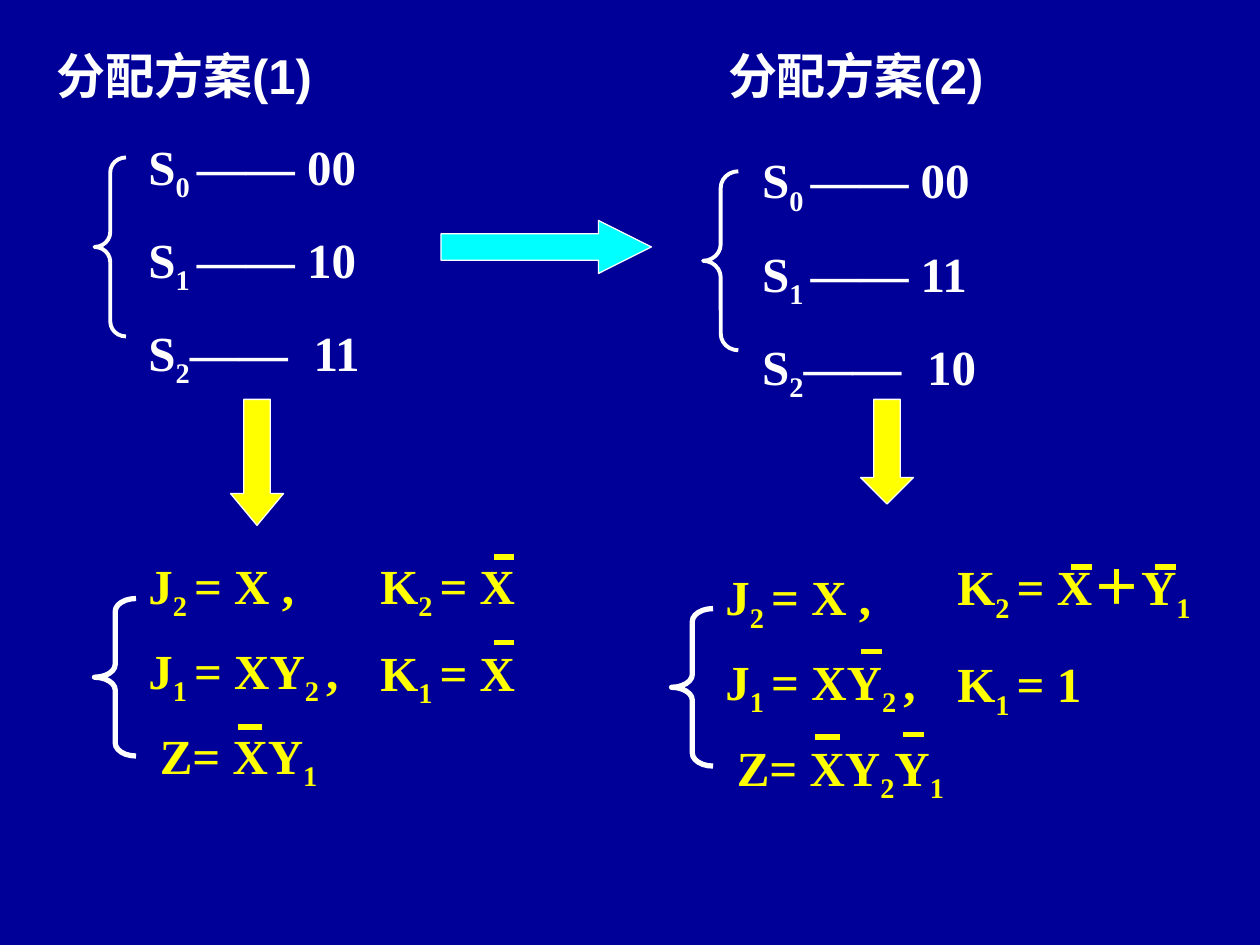
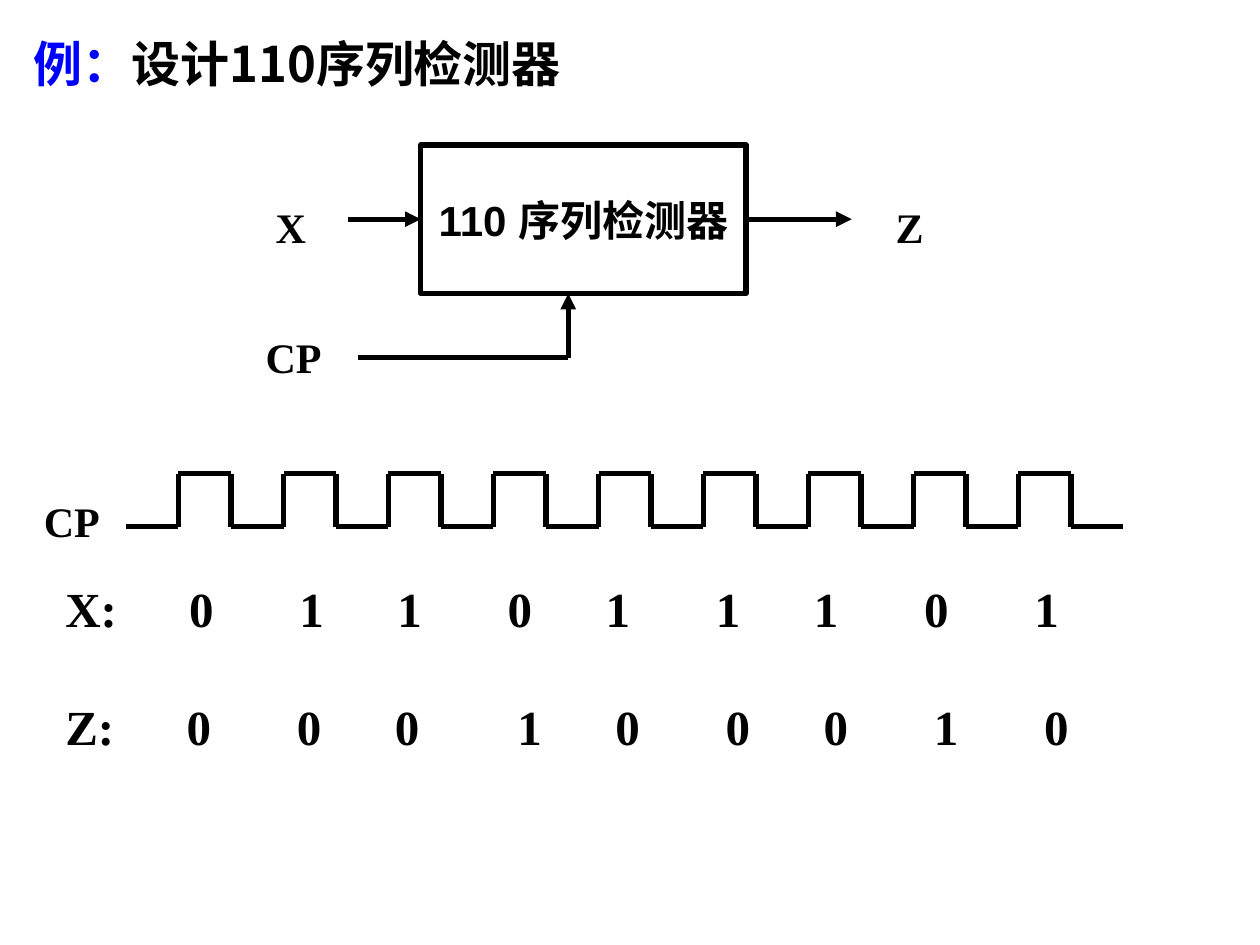
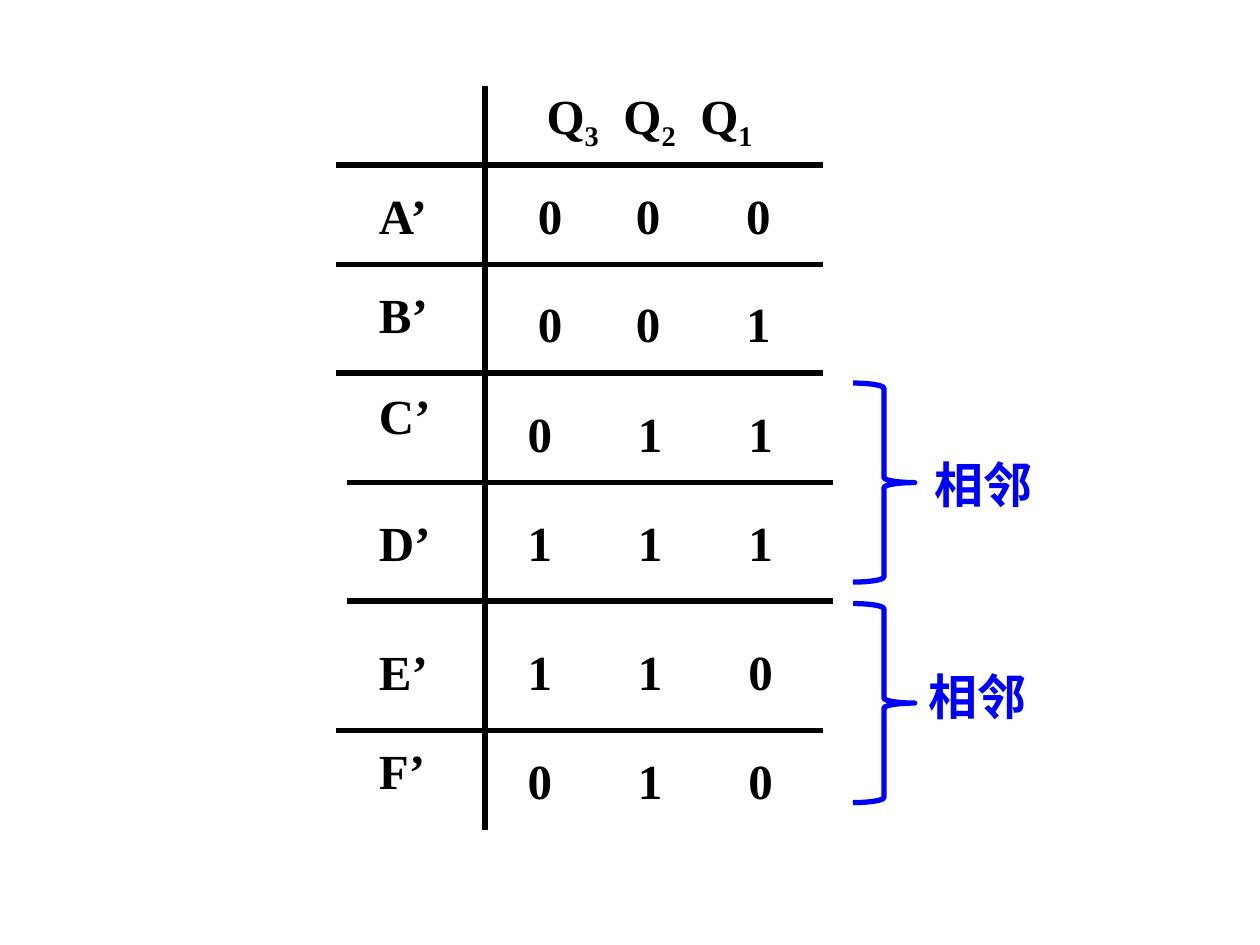
from dataclasses import dataclass
from itertools import accumulate
from lxml.etree import SubElement
from pptx import Presentation
from pptx.dml.color import RGBColor
from pptx.enum.shapes import MSO_CONNECTOR, MSO_SHAPE
from pptx.enum.text import MSO_ANCHOR, PP_ALIGN
from pptx.oxml.ns import qn
from pptx.util import Inches, Pt


@dataclass(frozen=True)
class Theme:
    navy: str = "000099"
    white: str = "FFFFFF"
    black: str = "000000"
    blue: str = "0000FF"
    cyan: str = "00FFFF"
    gold: str = "FFFF00"
    serif: str = "Times New Roman"
    sans: str = "Arial"
    han: str = "Noto Sans CJK SC"
    big: int = 28
    small: int = 24
    thin: float = 0.75
    mid: float = 2.25
    thick: float = 3
    gap: int = 15
    space: float = 7 / 72


T = Theme()

HEADS = [(0.35, "分配方案(1)"), (5.68, "分配方案(2)")]
CODES = [
    (1.08, 1, ["S|0 |—— 00", "S|1 |—— 10", "S|2|——\t11"]),
    (5.95, 1.11, ["S|0 |—— 00", "S|1 |—— 11", "S|2|——\t10"]),
]
CODE_TAB = 1.31
BRACES = [
    (0.75, 1.25, 0.25, 1.42, 0.472, T.mid),
    (5.58, 1.36, 0.28, 1.42, 0.472, T.mid),
    (0.75, 4.75, 0.33, 1.25, 0.312, T.thick),
    (5.33, 4.83, 0.33, 1.25, 0.312, T.thick),
]
ARROWS = [
    (MSO_SHAPE.RIGHT_ARROW, 3.5, 1.75, 1.67, 0.42, 1, T.cyan),
    (MSO_SHAPE.DOWN_ARROW, 1.83, 3.17, 0.42, 1, 0.6, T.gold),
    (MSO_SHAPE.DOWN_ARROW, 6.83, 3.17, 0.42, 0.83, 0.5, T.gold),
]
SPOTS = [(0, 0), (1.84, 0), (0, 0.67), (1.84, 0.69), (0.09, 1.35)]
SUMS = [
    (1.08, 4.33, ["J|2 |= X ,", "K|2 |= X", "J|1 |= XY|2 |,", "K|1 |= X", "Z= XY|1"]),
    (5.66, 4.42, ["J|2 |= X ,", "K|2 |= X＋Y|1", "J|1 |= XY|2 |,", "K|1 |= 1", "Z= XY|2|Y|1"]),
]
BARS = [
    (3.92, 4.08, 4.42), (3.92, 4.08, 5.1), (1.89, 2.08, 5.77),
    (8.5, 8.67, 4.5), (9.17, 9.33, 4.5), (6.83, 7, 5.17),
    (6.47, 6.67, 5.85), (7.17, 7.33, 5.83),
]

PORTS = [(2.09, 1.52, "X"), (2.01, 2.55, "CP"), (7.01, 1.52, "Z"), (0.25, 3.85, "CP")]
WAVES = [
    (4.51, "X:", "011011101", 1.08, [7, 6, 7, 6, 7, 6, 7, 7]),
    (5.45, "Z:", "000100010", 1.06, [7, 6, 8, 6, 7, 6, 7, 7]),
]
PULSES = 9
HALF = 5 / 12
HIGH, LOW = 3.76, 4.18

RULES = [(2.67, 1.31), (2.67, 2.1), (2.67, 2.96), (2.75, 3.83), (2.75, 4.77), (2.67, 5.8)]
STATES = [
    ("A’", 1.39, "000", 4.17, 1.39, [6, 7]),
    ("B’", 2.18, "001", 4.17, 2.25, [6, 7]),
    ("C’", 2.98, "011", 4.09, 3.12, [7, 7]),
    ("D’", 3.99, "111", 4.09, 3.99, [7, 7]),
    ("E’", 5.01, "110", 4.09, 5.01, [7, 7]),
    ("F’", 5.8, "010", 4.09, 5.88, [7, 7]),
]
PAIRS = [(3.04, 7.32, 3.49), (4.79, 7.27, 5.17)]


def rgb(tint):
    return RGBColor.from_string(tint)


def wide(text):
    return any(char >= "\u3000" for char in text)


def stops(first, gaps):
    return list(accumulate([(gap + 2) * T.space for gap in gaps], initial=first))


def add_run(para, text, tint, face, size, sub=False):
    run = para.add_run()
    run.text = text
    font = run.font
    font.name, font.size, font.bold = face, Pt(size), True
    font.color.rgb = rgb(tint)
    props = font._element
    if wide(text):
        SubElement(props, qn("a:ea")).set("typeface", T.han)
    if sub:
        props.set("baseline", "-25000")


def add_tabs(para, places, align):
    tabs = SubElement(para._p.get_or_add_pPr(), qn("a:tabLst"))
    for place in places:
        tab = SubElement(tabs, qn("a:tab"))
        tab.set("pos", str(Inches(place)))
        tab.set("algn", align)


def add_text(slide, x, y, w, lines, tint, face=T.serif, size=T.big, tabs=(), align="l", top=None):
    box = slide.shapes.add_textbox(Inches(x), Inches(y), Inches(w), Inches(0.57))
    frame = box.text_frame
    frame.word_wrap = True
    if top is None:
        top = 0 if wide("".join(lines)) else 0.08
    frame.margin_top = Inches(top)
    for row, line in enumerate(lines):
        para = frame.add_paragraph() if row else frame.paragraphs[0]
        if tabs:
            add_tabs(para, tabs, align)
        if row:
            para.space_before = Pt(T.gap)
        for part, text in enumerate(line.split("|")):
            if text:
                add_run(para, text, tint, face, size, part % 2 == 1)
    return box


def add_line(slide, x1, y1, x2, y2, tint=T.black, tip=False):
    line = slide.shapes.add_connector(
        MSO_CONNECTOR.STRAIGHT, Inches(x1), Inches(y1), Inches(x2), Inches(y2))
    line.line.color.rgb = rgb(tint)
    line.line.width = Pt(T.thick)
    if tip:
        SubElement(line.line._get_or_add_ln(), qn("a:tailEnd")).set("type", "triangle")
    SubElement(line._element.spPr, qn("a:effectLst"))
    return line


def add_form(slide, kind, x, y, w, h, tint, width, fill=None, bends=()):
    form = slide.shapes.add_shape(kind, Inches(x), Inches(y), Inches(w), Inches(h))
    form.shadow.inherit = False
    form.line.color.rgb = rgb(tint)
    form.line.width = Pt(width)
    if fill:
        form.fill.solid()
        form.fill.fore_color.rgb = rgb(fill)
    else:
        form.fill.background()
    for spot, bend in enumerate(bends):
        form.adjustments[spot] = bend
    return form


def add_page(deck, tint):
    slide = deck.slides.add_slide(deck.slide_layouts[6])
    back = slide.background.fill
    back.solid()
    back.fore_color.rgb = rgb(tint)
    return slide


def draw_plans(deck):
    slide = add_page(deck, T.navy)
    for x, head in HEADS:
        add_text(slide, x, 0.36, 3.47, [head], T.white, T.sans)
    for x, y, lines in CODES:
        code = add_text(slide, x, y, 2.42, lines, T.white, tabs=[CODE_TAB])
        code.height = Inches(1.97)
    for x, y, w, h, bend, width in BRACES:
        add_form(slide, MSO_SHAPE.LEFT_BRACE, x, y, w, h, T.white, width, bends=(bend, 0.5))
    for kind, x, y, w, h, bend, fill in ARROWS:
        add_form(slide, kind, x, y, w, h, T.white, T.thin, fill, (0.5, bend))
    for left, top, terms in SUMS:
        for (dx, dy), term in zip(SPOTS, terms):
            add_text(slide, left + dx, top + dy, 2.4, [term], T.gold)
    for x1, x2, y in BARS:
        add_line(slide, x1, y, x2, y, T.gold)


def draw_clock(slide):
    for step in range(2 * PULSES + 1):
        x = 1 + step * HALF
        level = HIGH if step % 2 else LOW
        add_line(slide, x, level, x + HALF, level)
        if step:
            add_line(slide, x, HIGH, x, LOW)


def draw_wave(deck):
    slide = add_page(deck, T.white)
    box = add_form(slide, MSO_SHAPE.RECTANGLE, 3.34, 1.15, 2.58, 1.18, T.black, T.thick, T.white)
    frame = box.text_frame
    frame.word_wrap = False
    frame.vertical_anchor = MSO_ANCHOR.MIDDLE
    para = frame.paragraphs[0]
    para.alignment = PP_ALIGN.CENTER
    add_run(para, "110 序列检测器", T.black, T.sans, T.small)
    add_line(slide, 2.76, 1.74, 3.34, 1.74, tip=True).end_connect(box, 1)
    add_line(slide, 5.92, 1.74, 6.76, 1.74, tip=True).begin_connect(box, 3)
    add_line(slide, 2.84, 2.84, 4.51, 2.84)
    add_line(slide, 4.51, 2.84, 4.51, 2.33, tip=True)
    for x, y, name in PORTS:
        add_text(slide, x, y, 0.8, [name], T.black, size=T.small)
    draw_clock(slide)
    for y, name, bits, first, gaps in WAVES:
        line = "\t".join([name, *bits])
        add_text(slide, 0.42, y, 8.58, [line], T.black, tabs=stops(first, gaps), align="ctr")
    title = add_text(slide, 0.17, 0.27, 9.83, ["例："], T.blue, T.han)
    add_run(title.text_frame.paragraphs[0], "设计110序列检测器", T.black, T.han, T.big)


def draw_states(deck):
    slide = add_page(deck, T.white)
    for x, y in RULES:
        add_line(slide, x, y, x + 3.86, y)
    add_line(slide, 3.85, 0.68, 3.85, 6.59)
    add_text(slide, 4.24, 0.6, 2.2, ["Q|3|\tQ|2|\tQ|1"], T.black, tabs=[0.61, 1.22])
    for name, top, bits, x, y, gaps in STATES:
        add_text(slide, 2.91, top, 0.7, [name], T.black)
        places = stops(T.space, gaps)[1:]
        add_text(slide, x, y, 2.2, ["\t".join(bits)], T.black, tabs=places, align="ctr")
    for top, x, y in PAIRS:
        add_form(slide, MSO_SHAPE.RIGHT_BRACE, 6.77, top, 0.49, 1.58,
                 T.blue, T.thick, bends=(0.083, 0.5))
        add_text(slide, x, y, 0.99, ["相邻"], T.blue, top=0.12)


def main():
    deck = Presentation()
    deck.slide_width, deck.slide_height = Inches(10), Inches(7.5)
    draw_plans(deck)
    draw_wave(deck)
    draw_states(deck)
    deck.save("out.pptx")


if __name__ == "__main__":
    main()
